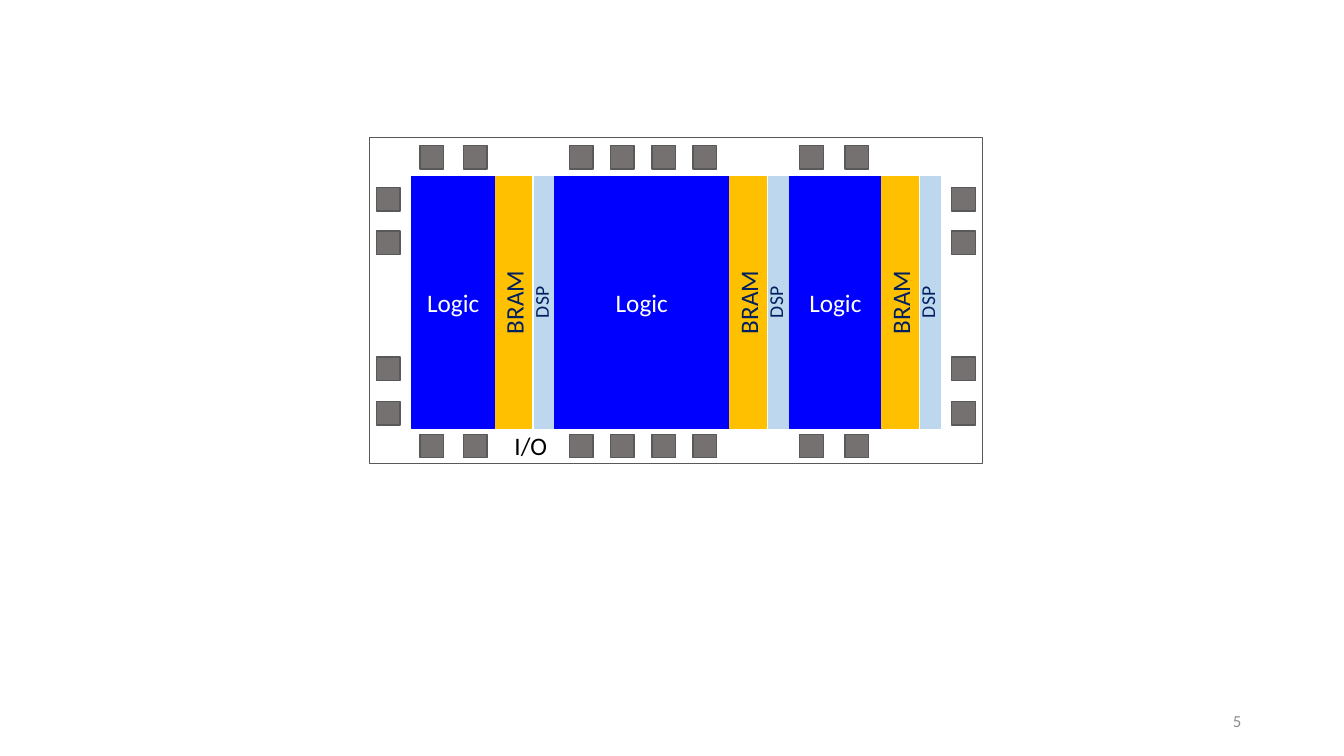
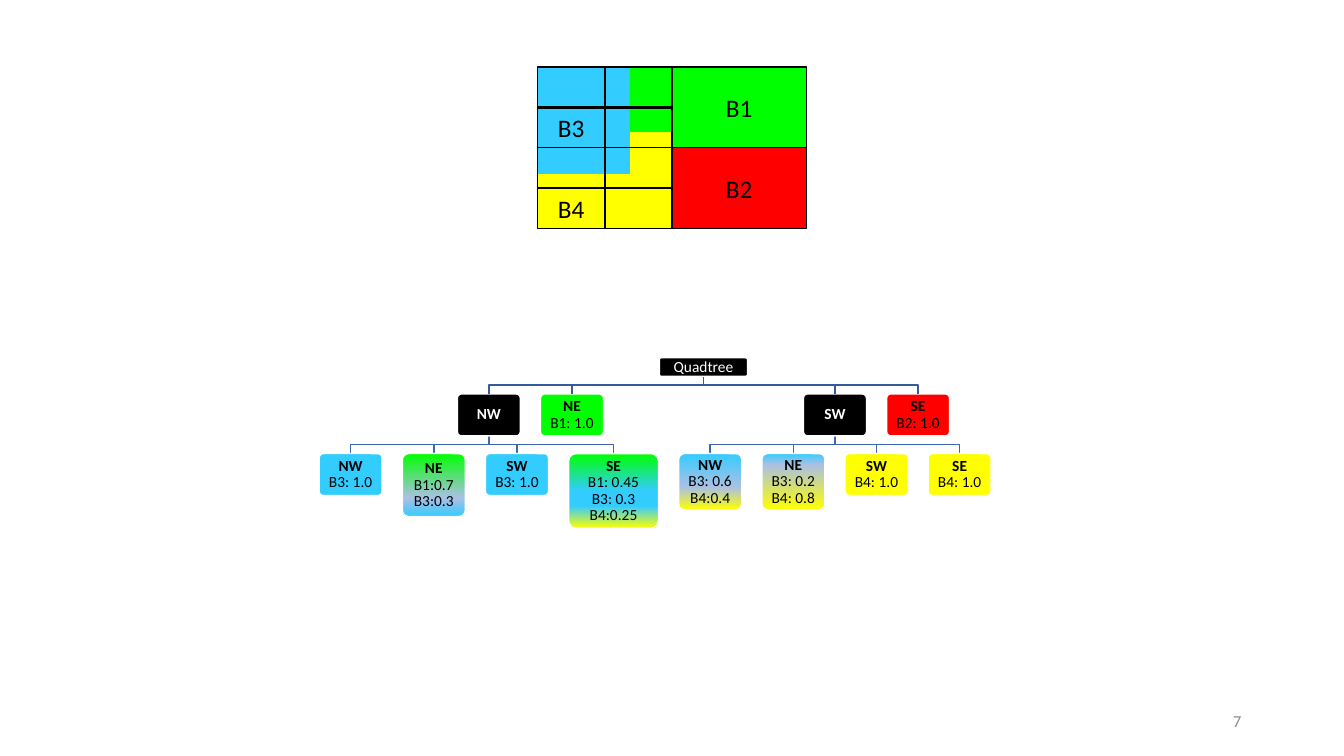
"""Build two slides: an FPGA floorplan and a quadtree of its blocks."""
from itertools import product

from lxml.etree import SubElement
from pptx import Presentation
from pptx.dml.color import RGBColor
from pptx.enum.shapes import MSO_CONNECTOR as CONN, MSO_SHAPE as SHAPE
from pptx.enum.text import MSO_ANCHOR as ANCHOR, PP_ALIGN as ALIGN
from pptx.oxml.ns import qn
from pptx.util import Inches, Pt

BLACK = RGBColor(0x00, 0x00, 0x00)
WHITE = RGBColor(0xFF, 0xFF, 0xFF)
BLUE = RGBColor(0x00, 0x00, 0xFF)
GOLD = RGBColor(0xFF, 0xC0, 0x00)
PALE = RGBColor(0xBD, 0xD7, 0xEE)
NAVY = RGBColor(0x00, 0x20, 0x60)
PAD = RGBColor(0x76, 0x71, 0x71)
EDGE = RGBColor(0x59, 0x59, 0x59)
MUTED = RGBColor(0x8C, 0x8C, 0x8C)
GREEN = RGBColor(0x00, 0xFF, 0x00)
RED = RGBColor(0xFF, 0x00, 0x00)
YELLOW = RGBColor(0xFF, 0xFF, 0x00)
SKY = RGBColor(0x33, 0xCC, 0xFF)
HAZE = RGBColor(0xAB, 0xC0, 0xE4)
LINK_TOP = RGBColor(0x36, 0x5B, 0x9D)
LINK_LOW = RGBColor(0x3E, 0x67, 0xB2)

FONT = "Calibri"
COLS, ROWS = 160, 90
NODE_W, NODE_H, GAP = 7.5, 5, 2.4


def write(tf, text, size=18, color=BLACK, align=ALIGN.CENTER, bold_first=False,
          spacing=None, vert=None):
    """Fill a text frame with one paragraph, breaking it at newlines."""
    tf.margin_left = tf.margin_right = tf.margin_top = tf.margin_bottom = 0
    tf.word_wrap = False
    tf.vertical_anchor = ANCHOR.MIDDLE
    if vert:
        tf._txBody.bodyPr.set("vert", vert)
    p = tf.paragraphs[0]
    p.alignment = align
    p.line_spacing = spacing
    for i, line in enumerate(text.split("\n")):
        if i:
            p.add_line_break()
        r = p.add_run()
        r.text = line
        r.font.name = FONT
        r.font.size = Pt(size)
        r.font.color.rgb = color
        r.font.bold = bold_first and i == 0


class Deck:
    """Hold the presentation, its grid and the current slide."""

    def __init__(self):
        self.prs = Presentation()
        self.prs.slide_width = Inches(13.33)
        self.prs.slide_height = Inches(7.5)

    def x(self, col):
        """Turn columns into a length."""
        return round(self.prs.slide_width * col / COLS)

    def y(self, row):
        """Turn rows into a length."""
        return round(self.prs.slide_height * row / ROWS)

    def box(self, col, row, w, h):
        """Turn a grid box into lengths."""
        return self.x(col), self.y(row), self.x(w), self.y(h)

    def slide(self, number):
        """Start a slide with its page number."""
        self.shapes = self.prs.slides.add_slide(self.prs.slide_layouts[6]).shapes
        self.label(str(number), 113, 83.4, 34.8, 4.8, size=12, color=MUTED,
                   align=ALIGN.RIGHT)

    def label(self, text, col, row, w, h, **fmt):
        """Add a text box."""
        write(self.shapes.add_textbox(*self.box(col, row, w, h)).text_frame, text, **fmt)

    def block(self, col, row, w, h, fill=None, line=None, kind=SHAPE.RECTANGLE):
        """Add a shape with a plain, graded or empty fill."""
        s = self.shapes.add_shape(kind, *self.box(col, row, w, h))
        if isinstance(fill, list):
            self.grade(s, fill)
        else:
            self.paint(s.fill, fill)
        self.paint(s.line.fill, line)
        if line is not None:
            s.line.width = Pt(1)
        s.shadow.inherit = False
        return s

    def paint(self, fill, color):
        """Set a solid colour, or none."""
        if color is None:
            fill.background()
        else:
            fill.solid()
            fill.fore_color.rgb = color

    def grade(self, s, stops):
        """Apply a top-down gradient of (percent, colour) stops."""
        s.fill.gradient()
        s.fill.gradient_angle = 270
        gs_list = s._element.spPr.find(qn("a:gradFill")).find(qn("a:gsLst"))
        for gs in list(gs_list):
            gs_list.remove(gs)
        for pos, color in stops:
            gs = SubElement(gs_list, qn("a:gs"), pos=str(pos * 1000))
            SubElement(gs, qn("a:srgbClr"), val=str(color))

    def rule(self, col1, row1, col2, row2):
        """Add a straight black line."""
        c = self.shapes.add_connector(CONN.STRAIGHT, self.x(col1), self.y(row1),
                                      self.x(col2), self.y(row2))
        c.line.color.rgb = BLACK
        c.line.width = Pt(1.5)
        SubElement(c._element.spPr, qn("a:effectLst"))

    def elbow(self, col1, row1, col2, row2, color):
        """Add a bent link from a parent down to a child."""
        mid = (row1 + row2) / 2
        pts = [(self.x(c), self.y(r)) for c, r in
               ((col1, row1), (col1, mid), (col2, mid), (col2, row2))]
        fb = self.shapes.build_freeform(*pts[0])
        fb.add_line_segments(pts[1:], close=False)
        s = fb.convert_to_shape()
        s.fill.background()
        s.line.color.rgb = color
        s.line.width = Pt(1)
        s.shadow.inherit = False

    def node(self, text, col, row, w=NODE_W, h=NODE_H, fill=BLACK, bold=True):
        """Add a rounded tree node."""
        s = self.block(col, row, w, h, fill, WHITE, SHAPE.ROUNDED_RECTANGLE)
        s.adjustments[0] = 0.1
        write(s.text_frame, text, size=11, color=WHITE if fill == BLACK else BLACK,
              bold_first=bold, spacing=0.9)


def floorplan(deck):
    """Draw the chip with its logic, memory, DSP and I/O columns."""
    deck.slide(5)
    top, height = 21, 30
    for logic, bram in ((49, 59), (66, 86.9), (94, 105)):
        for text, col, w, fill, fmt in (
                ("Logic", logic, bram - logic - 0.1, BLUE, dict(color=WHITE)),
                ("BRAM", bram, 4.3, GOLD, dict(color=NAVY, vert="vert270")),
                ("DSP", bram + 4.6, 2.4, PALE,
                 dict(color=NAVY, vert="vert270", size=14, spacing=Pt(12)))):
            s = deck.block(col, top, w, height, fill, fill)
            write(s.text_frame, text, **fmt)
    across = [50, 55.2] + [67.8 + 4.9 * i for i in range(4)] + [95.2, 100.6]
    pads = [*product(across, (17.3, 51.7)),
            *product((44.8, 113.3), (22.3, 27.5, 42.5, 47.8))]
    for col, row in pads:
        deck.block(col, row, 2.8, 2.8, PAD, EDGE)
    deck.block(44, 16.4, 73, 38.8, line=EDGE)
    deck.label("I/O", 61.2, 51.2, 4, 3.6)


def block_map(deck):
    """Draw the placed blocks under the quadtree grid."""
    left, top, w, h = 64, 8, 8, 4.8
    mid, centre = left + 2 * w, top + 2 * h
    deck.block(mid, centre, 2 * w, 2 * h, RED, BLACK)
    deck.block(mid, top, 2 * w, 2 * h, GREEN, BLACK)
    deck.block(left, 15.7, 2 * w, 11.5, YELLOW)
    deck.block(left, top, 11, 12.7, SKY)
    deck.block(left + 11, top, 5, 7.7, GREEN)
    for text, col, row in (("B1", mid + w / 2, top + h / 2),
                           ("B2", mid + w / 2, centre + h / 2),
                           ("B3", left, top + h), ("B4", left, centre + h)):
        deck.label(text, col, row, w, h)
    for row in (top, centre):
        deck.block(left, row, 2 * w, 2 * h, line=BLACK)
        deck.rule(left + w, row, left + w, row + 2 * h)
        deck.rule(left, row + h, mid, row + h)


def tree(deck):
    """Draw the quadtree, each parent centred over its children."""
    root_row, mid_row, leaf_row = 42.6, 46.9, 54
    root_w, root_h = 10.5, 2.2
    branches = (
        ("NW", (("NW\nB3: 1.0", SKY, NODE_W, NODE_H),
                ("NE\nB1:0.7\nB3:0.3", [(0, GREEN), (70, HAZE), (100, SKY)], NODE_W, 7.5),
                ("SW\nB3: 1.0", SKY, NODE_W, NODE_H),
                ("SE\nB1: 0.45\nB3: 0.3\nB4:0.25",
                 [(0, GREEN), (50, SKY), (70, SKY), (100, YELLOW)], 10.7, 8.9)),
         ("NE\nB1: 1.0", GREEN)),
        ("SW", (("NW\nB3: 0.6\nB4:0.4", [(0, SKY), (60, HAZE), (100, YELLOW)], NODE_W, 6.7),
                ("NE\nB3: 0.2\nB4: 0.8", [(0, SKY), (20, HAZE), (100, YELLOW)], NODE_W, 6.7),
                ("SW\nB4: 1.0", YELLOW, NODE_W, NODE_H),
                ("SE\nB4: 1.0", YELLOW, NODE_W, NODE_H)),
         ("SE\nB2: 1.0", RED)))
    col, centres = 38, []
    for name, leaves, (sibling, fill) in branches:
        span = sum(leaf[2] + GAP for leaf in leaves) - GAP
        parent = col + span / 2
        for text, leaf_fill, w, h in leaves:
            deck.elbow(parent, mid_row + NODE_H, col + w / 2, leaf_row, LINK_LOW)
            deck.node(text, col, leaf_row, w, h, leaf_fill)
            col += w + GAP
        left = parent - NODE_W / 2
        deck.node(name, left, mid_row)
        deck.node(sibling, left + NODE_W + GAP, mid_row, fill=fill)
        centres += [parent, parent + NODE_W + GAP]
    root = (centres[0] + centres[-1]) / 2
    for centre in centres:
        deck.elbow(root, root_row + root_h, centre, mid_row, LINK_TOP)
    deck.node("Quadtree", root - root_w / 2, root_row, root_w, root_h, bold=False)


def main():
    """Build and save the deck."""
    deck = Deck()
    floorplan(deck)
    deck.slide(7)
    tree(deck)
    block_map(deck)
    deck.prs.save("out.pptx")


if __name__ == "__main__":
    main()
